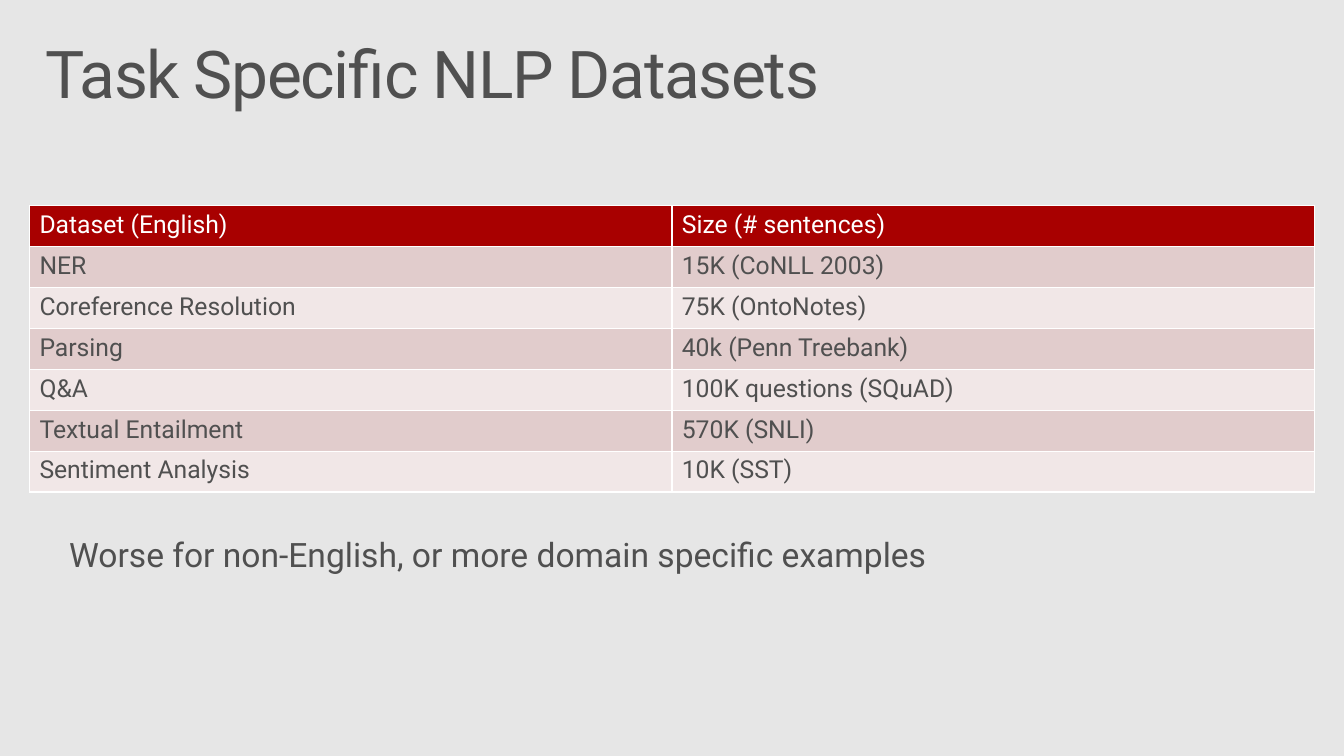
"""Build a slide listing task specific NLP datasets and their sizes."""

import dataclasses

import lxml.etree
import pptx
import pptx.dml.color
import pptx.oxml.ns
import pptx.util

SLIDE_WIDTH = pptx.util.Inches(13.6)
SLIDE_HEIGHT = pptx.util.Inches(7.65)
FONT = "Roboto"
COLOURS = {
    "background": "E6E6E6",
    "text": "505050",
    "white": "FFFFFF",
    "header": "A80000",
    "odd_row": "E1CCCC",
    "even_row": "F1E7E7",
}
MARGIN = pptx.util.Inches(0.3)
TABLE_TOP = pptx.util.Inches(2.08)
COLUMN_WIDTH = pptx.util.Inches(6.5)
ROW_HEIGHT = pptx.util.Inches(2.9 / 7)
BORDER_WIDTH = pptx.util.Pt(1)


@dataclasses.dataclass(frozen=True)
class Dataset:
    task: str
    size: str


@dataclasses.dataclass(frozen=True)
class Caption:
    text: str
    left: float
    top: float
    width: float
    height: float
    inset_x: float
    inset_y: float
    size: float
    space_after: float = 0
    tracking: int = 0


ROWS = [
    Dataset("Dataset (English)", "Size (# sentences)"),
    Dataset("NER", "15K (CoNLL 2003)"),
    Dataset("Coreference Resolution", "75K (OntoNotes)"),
    Dataset("Parsing", "40k (Penn Treebank)"),
    Dataset("Q&A", "100K questions (SQuAD)"),
    Dataset("Textual Entailment", "570K (SNLI)"),
    Dataset("Sentiment Analysis", "10K (SST)"),
]
CAPTIONS = [
    Caption("Task Specific NLP Datasets", 0.3, 0.32, 13, 1, 0.16, 0.1, 48, tracking=-100),
    Caption("Worse for non-English, or more domain specific examples",
            0.5, 5.29, 13.4, 0.71, 0.2, 0.16, 24.5, space_after=6.1),
]


def colour(name: str) -> pptx.dml.color.RGBColor:
    """Return the named colour."""
    return pptx.dml.color.RGBColor.from_string(COLOURS[name])


def format_paragraph(paragraph, size: float, colour_name: str) -> None:
    """Set the font of every run in a paragraph."""
    for run in paragraph.runs:
        run.font.name = FONT
        run.font.size = pptx.util.Pt(size)
        run.font.bold = False
        run.font.color.rgb = colour(colour_name)


def add_caption(slide, caption: Caption) -> None:
    """Draw a line of text in a box."""
    box = (caption.left, caption.top, caption.width, caption.height)
    text_frame = slide.shapes.add_textbox(*map(pptx.util.Inches, box)).text_frame
    text_frame.word_wrap = True
    text_frame.margin_left = text_frame.margin_right = pptx.util.Inches(caption.inset_x)
    text_frame.margin_top = text_frame.margin_bottom = pptx.util.Inches(caption.inset_y)
    text_frame.text = caption.text
    paragraph = text_frame.paragraphs[0]
    paragraph.line_spacing = 0.9
    paragraph.space_after = pptx.util.Pt(caption.space_after)
    format_paragraph(paragraph, caption.size, "text")
    if caption.tracking:
        paragraph.runs[0].font._element.set("spc", str(caption.tracking))


def add_borders(cell) -> None:
    """Put a white line on each side of a cell."""
    qualified = pptx.oxml.ns.qn
    properties = cell._tc.get_or_add_tcPr()
    for position, side in enumerate(("a:lnL", "a:lnR", "a:lnT", "a:lnB")):
        line = lxml.etree.Element(qualified(side), w=str(BORDER_WIDTH))
        fill = lxml.etree.SubElement(line, qualified("a:solidFill"))
        lxml.etree.SubElement(fill, qualified("a:srgbClr"), val=COLOURS["white"])
        properties.insert(position, line)


def add_dataset_table(slide, rows: list[Dataset]) -> None:
    """Draw the table with a header and alternating row colours."""
    table = slide.shapes.add_table(
        len(rows), 2, MARGIN, TABLE_TOP, 2 * COLUMN_WIDTH, ROW_HEIGHT * len(rows)
    ).table
    for row_index, dataset in enumerate(rows):
        table.rows[row_index].height = ROW_HEIGHT
        is_header = row_index == 0
        fill_name = "header" if is_header else "odd_row" if row_index % 2 else "even_row"
        for column_index, text in enumerate(dataclasses.astuple(dataset)):
            cell = table.cell(row_index, column_index)
            cell.fill.solid()
            cell.fill.fore_color.rgb = colour(fill_name)
            add_borders(cell)
            cell.text_frame.text = text
            format_paragraph(cell.text_frame.paragraphs[0], 18, "white" if is_header else "text")


def main() -> None:
    """Build and save the presentation."""
    presentation = pptx.Presentation()
    presentation.slide_width = SLIDE_WIDTH
    presentation.slide_height = SLIDE_HEIGHT
    slide = presentation.slides.add_slide(presentation.slide_layouts[6])
    slide.background.fill.solid()
    slide.background.fill.fore_color.rgb = colour("background")
    add_dataset_table(slide, ROWS)
    for caption in CAPTIONS:
        add_caption(slide, caption)
    presentation.save("out.pptx")


if __name__ == "__main__":
    main()
